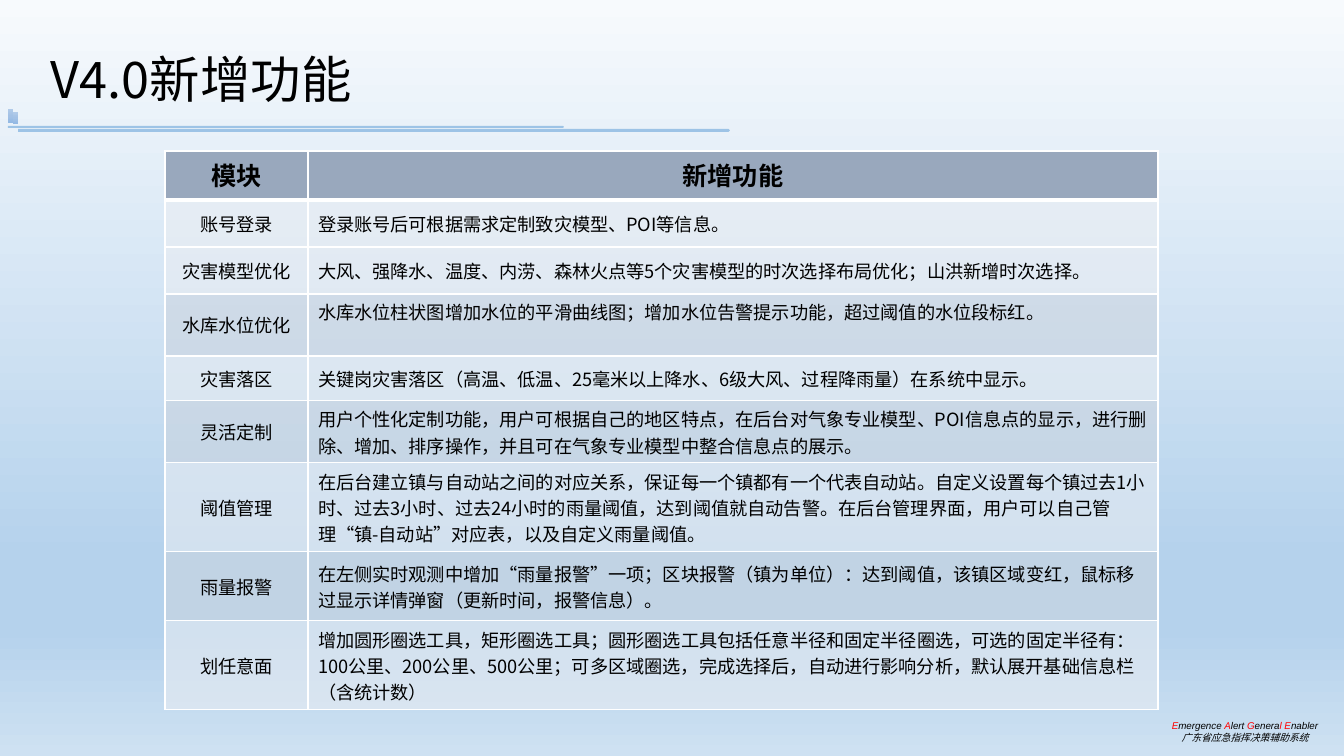
from lxml.etree import SubElement
from pptx import Presentation
from pptx.dml.color import RGBColor
from pptx.enum.shapes import MSO_SHAPE as Preset
from pptx.enum.text import MSO_ANCHOR as Anchor, PP_ALIGN as Align
from pptx.oxml.ns import qn
from pptx.util import Pt

SLIDE_W, SLIDE_H = 1344, 756
PX = 12192000 / SLIDE_W
CJK, LATIN = "Noto Sans CJK SC", "Arial"
COLORS = {
    "ink": "000000", "accent": "FF0000", "rule": "9DC3E6", "border": "FFFFFF",
    "header": "99A8BD", "light": "EBEEF2", "dark": "CCD4DE",
}
SKY = [(0, "F7FAFD"), (74, "B5D2EC"), (83, "B5D2EC"), (100, "CEE1F2")]
BLOCK_BLUE = [(0, "B1CBE9"), (50, "A3C1E5"), (100, "93B9E4")]

HEADER = ("模块", "新增功能")
FEATURES = [
    (47, "账号登录", "登录账号后可根据需求定制致灾模型、POI等信息。"),
    (47, "灾害模型优化", "大风、强降水、温度、内涝、森林火点等5个灾害模型的时次选择布局优化；山洪新增时次选择。"),
    (62, "水库水位优化", "水库水位柱状图增加水位的平滑曲线图；增加水位告警提示功能，超过阈值的水位段标红。"),
    (45, "灾害落区", "关键岗灾害落区（高温、低温、25毫米以上降水、6级大风、过程降雨量）在系统中显示。"),
    (62, "灵活定制", "用户个性化定制功能，用户可根据自己的地区特点，在后台对气象专业模型、POI信息点的显示，"
                 "进行删除、增加、排序操作，并且可在气象专业模型中整合信息点的展示。"),
    (89, "阈值管理", "在后台建立镇与自动站之间的对应关系，保证每一个镇都有一个代表自动站。自定义设置每个镇"
                 "过去1小时、过去3小时、过去24小时的雨量阈值，达到阈值就自动告警。在后台管理界面，"
                 "用户可以自己管理“镇-自动站”对应表，以及自定义雨量阈值。"),
    (69, "雨量报警", "在左侧实时观测中增加“雨量报警”一项；区块报警（镇为单位）：达到阈值，该镇区域变红，"
                 "鼠标移过显示详情弹窗（更新时间，报警信息）。"),
    (89, "划任意面", "增加圆形圈选工具，矩形圈选工具；圆形圈选工具包括任意半径和固定半径圈选，可选的固定半径有："
                 "100公里、200公里、500公里；可多区域圈选，完成选择后，自动进行影响分析，"
                 "默认展开基础信息栏（含统计数）"),
]
TOP_ALIGNED = "水库水位优化"
SYSTEM_NAME = [
    [("E", "accent"), ("mergence ", "ink"), ("A", "accent"), ("lert ", "ink"),
     ("G", "accent"), ("enera", "ink"), ("l E", "accent"), ("nabler", "ink")],
    [("广东省应急指挥决策辅助系统", "ink")],
]


def px(*lengths):
    return [round(length * PX) for length in lengths]


def write(frame, lines, size, font=CJK, bold=False, italic=False, align=Align.LEFT, spacing=None):
    for index, pieces in enumerate(lines):
        paragraph = frame.add_paragraph() if index else frame.paragraphs[0]
        paragraph.alignment = align
        if spacing:
            paragraph.line_spacing = spacing
        for text, color in pieces:
            run = paragraph.add_run()
            run.text = text
            run.font.size, run.font.bold, run.font.italic = Pt(size), bold, italic
            run.font.color.rgb = RGBColor.from_string(COLORS[color])
            run.font.name = font
            SubElement(run.font._element, qn("a:ea"), typeface=CJK)


def paint_solid(fill, color):
    fill.solid()
    fill.fore_color.rgb = RGBColor.from_string(COLORS[color])


def paint_gradient(fill, owner, stops):
    fill.gradient()
    fill.gradient_angle = 270
    stop_list = next(owner.iter(qn("a:gsLst")))
    for default_stop in list(stop_list):
        stop_list.remove(default_stop)
    for position, color in stops:
        stop = SubElement(stop_list, qn("a:gs"), pos=str(position * 1000))
        SubElement(stop, qn("a:srgbClr"), val=color)


def add_plain_shape(slide, preset, box):
    shape = slide.shapes.add_shape(preset, *px(*box))
    shape.shadow.inherit = False
    shape.line.fill.background()
    return shape


def add_title(slide, left, top, width, height):
    frame = slide.shapes.add_textbox(*px(left, top, width, height)).text_frame
    frame.word_wrap = True
    frame.vertical_anchor = Anchor.MIDDLE
    write(frame, [[("V4.0新增功能", "ink")]], 36, spacing=0.9)


def add_title_rule(slide, left, top):
    for dx, dy, width, height in [(10, 20, 712, 3), (0, 17, 556, 2)]:
        bar = add_plain_shape(slide, Preset.PENTAGON, (left + dx, top + dy, width, height))
        paint_solid(bar.fill, "rule")
    for dx, dy, width, height in [(0, 0, 5, 14), (5, 3, 5, 12)]:
        block = add_plain_shape(slide, Preset.RECTANGLE, (left + dx, top + dy, width, height))
        paint_gradient(block.fill, block.element, BLOCK_BLUE)


def style_cell(cell, color, opacity=None, bottom=1):
    paint_solid(cell.fill, color)
    properties = cell._tc.get_or_add_tcPr()
    if opacity:
        SubElement(next(properties.iter(qn("a:srgbClr"))), qn("a:alpha"), val=str(opacity * 1000))
    for index, (side, points) in enumerate([("L", 1), ("R", 1), ("T", 1), ("B", bottom)]):
        border = SubElement(properties, qn(f"a:ln{side}"), w=str(Pt(points)))
        SubElement(SubElement(border, qn("a:solidFill")), qn("a:srgbClr"), val=COLORS["border"])
        properties.insert(index, border)


def add_feature_table(slide, left, top, width, module_width):
    heights = [49] + [height for height, *_ in FEATURES]
    table = slide.shapes.add_table(
        len(heights), 2, *px(left, top, width, sum(heights))).table
    for column, column_width in zip(table.columns, px(module_width, width - module_width)):
        column.width = column_width
    for row, height in zip(table.rows, px(*heights)):
        row.height = height
    for cell, label in zip(table.rows[0].cells, HEADER):
        style_cell(cell, "header", bottom=3)
        write(cell.text_frame, [[(label, "ink")]], 18, bold=True, align=Align.CENTER)
    for number, (_, module, feature) in enumerate(FEATURES, 1):
        band = "dark" if number > 1 and number % 2 else "light"
        module_cell, feature_cell = table.rows[number].cells
        for cell, text, align in [(module_cell, module, Align.CENTER), (feature_cell, feature, Align.LEFT)]:
            style_cell(cell, band, opacity=54)
            cell.vertical_anchor = Anchor.MIDDLE
            write(cell.text_frame, [[(text, "ink")]], 13, align=align)
        if module == TOP_ALIGNED:
            feature_cell.vertical_anchor = Anchor.TOP


def add_system_name(slide, left, top, width, height):
    frame = slide.shapes.add_textbox(*px(left, top, width, height)).text_frame
    frame.word_wrap = False
    write(frame, SYSTEM_NAME, 7, font=LATIN, italic=True, align=Align.CENTER)


def main():
    deck = Presentation()
    deck.slide_width, deck.slide_height = px(SLIDE_W, SLIDE_H)
    slide = deck.slides.add_slide(deck.slide_layouts[6])
    paint_gradient(slide.background.fill, slide.element, SKY)
    add_system_name(slide, 1161, 715, 168, 34)
    add_title_rule(slide, 8, 109)
    add_title(slide, 41, 28, 1045, 109)
    add_feature_table(slide, 165, 151, 993, 143)
    deck.save("out.pptx")


if __name__ == "__main__":
    main()
